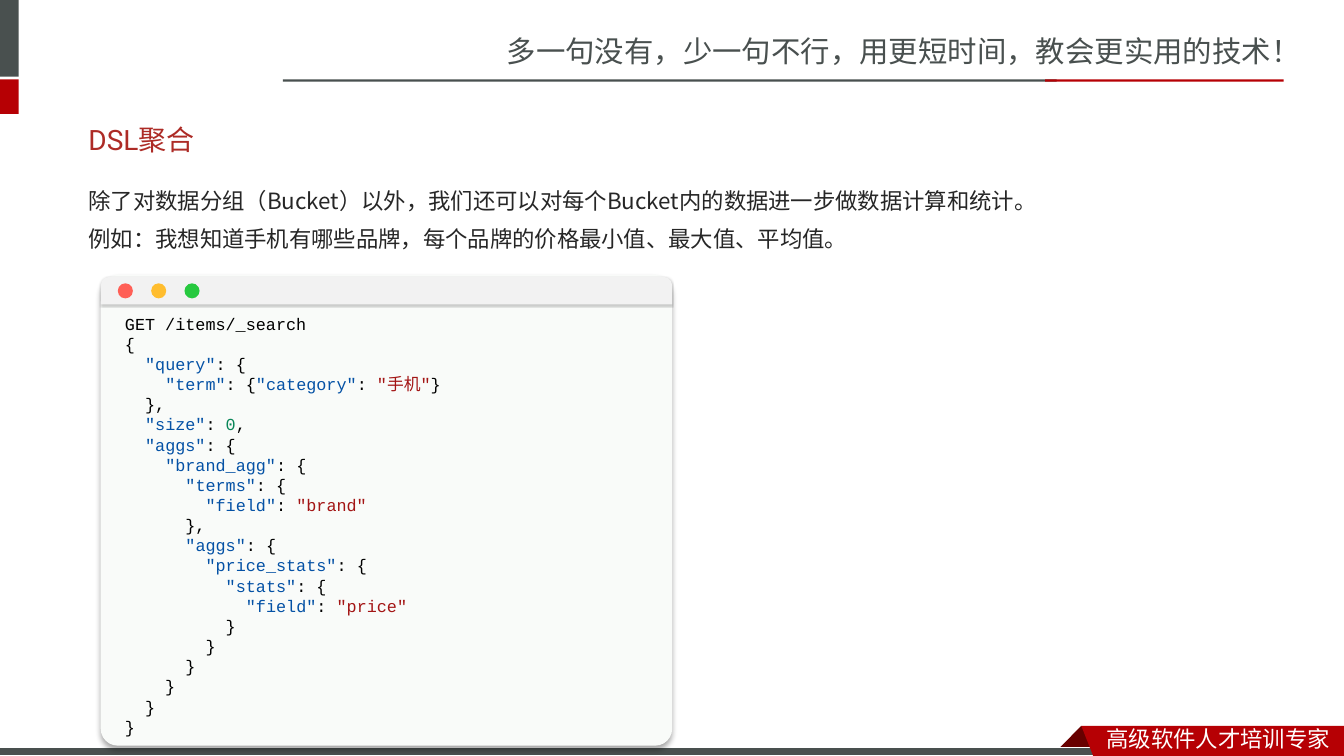
import pptx
import pptx.util
import pptx.dml.color
import pptx.enum.shapes
import pptx.enum.text
import pptx.oxml
import pptx.oxml.ns

Cm, Pt = pptx.util.Cm, pptx.util.Pt
SHAPE = pptx.enum.shapes.MSO_SHAPE
ANCHOR = pptx.enum.text.MSO_ANCHOR

SLATE, RED, DARK_RED, WHITE = "49504F", "B60004", "680000", "FFFFFF"
TITLE_RED, INK = "AD2B26", "262626"
CODE, KEY, STRING, NUMBER = "000000", "0451A5", "A31515", "098658"
CJK = "Noto Sans CJK SC"

SEARCH_REQUEST = """GET /items/_search
{
  "query": {
    "term": {"category": "手机"}
  },
  "size": 0,
  "aggs": {
    "brand_agg": {
      "terms": {
        "field": "brand"
      },
      "aggs": {
        "price_stats": {
          "stats": {
            "field": "price"
          }
        }
      }
    }
  }
}"""


def color(hex_code):
    return pptx.dml.color.RGBColor.from_string(hex_code)


def highlight(line):
    """Split a JSON line into (text, colour) runs."""
    pieces = line.split('"')
    runs = []
    for i, piece in enumerate(pieces):
        if i % 2:
            is_key = pieces[i + 1].startswith(":")
            runs.append((f'"{piece}"', KEY if is_key else STRING))
        elif "0" in piece:
            before, after = piece.split("0")
            runs += [(before, CODE), ("0", NUMBER), (after, CODE)]
        elif piece:
            runs.append((piece, CODE))
    return runs


class SlideBuilder:
    """Draws on one slide; all lengths are in centimetres."""

    def __init__(self, slide):
        self.shapes = slide.shapes

    def paint(self, shape, fill, line=None):
        shape.shadow.inherit = False
        shape.fill.solid()
        shape.fill.fore_color.rgb = color(fill)
        if line:
            shape.line.color.rgb = color(line)
            shape.line.width = Pt(0.75)
        else:
            shape.line.fill.background()
        return shape

    def shape(self, kind, left, top, width, height, fill, line=None, corner=None):
        shape = self.shapes.add_shape(kind, Cm(left), Cm(top), Cm(width), Cm(height))
        if corner is not None:
            shape.adjustments[0] = corner
        return self.paint(shape, fill, line)

    def polygon(self, points, fill):
        corners = [(Cm(x), Cm(y)) for x, y in points]
        outline = self.shapes.build_freeform(*corners[0])
        outline.add_line_segments(corners[1:], close=True)
        return self.paint(outline.convert_to_shape(), fill)

    def drop_shadow(self, shape, blur, distance, opacity):
        effects = shape._element.spPr.find(pptx.oxml.ns.qn("a:effectLst"))
        effects.append(pptx.oxml.parse_xml(
            f'<a:outerShdw {pptx.oxml.ns.nsdecls("a")} blurRad="{Pt(blur)}" '
            f'dist="{Pt(distance)}" dir="5400000" algn="t" rotWithShape="0">'
            f'<a:srgbClr val="000000"><a:alpha val="{opacity * 1000}"/></a:srgbClr>'
            '</a:outerShdw>'))

    def text(self, left, top, width, height, paragraphs, size, font=CJK, east_asian=CJK,
             anchor=ANCHOR.TOP, side_inset=0.25, spacing=None, before=0, wrap=True):
        """Each paragraph is a list of (text, colour) runs."""
        frame = self.shapes.add_textbox(Cm(left), Cm(top), Cm(width), Cm(height)).text_frame
        frame.word_wrap = wrap
        frame.vertical_anchor = anchor
        frame.margin_left = frame.margin_right = Cm(side_inset)
        for i, runs in enumerate(paragraphs):
            paragraph = frame.add_paragraph() if i else frame.paragraphs[0]
            paragraph.space_before = Pt(before)
            if spacing:
                paragraph.line_spacing = spacing
            for words, hex_code in runs:
                run = paragraph.add_run()
                run.text = words
                run.font.size = Pt(size)
                run.font.name = font
                run.font.color.rgb = color(hex_code)
                ea = run._r.get_or_add_rPr().makeelement(
                    pptx.oxml.ns.qn("a:ea"), {"typeface": east_asian})
                run.font._element.find(pptx.oxml.ns.qn("a:latin")).addnext(ea)


def draw_frame(page):
    page.text(12.52, 0.71, 21.35, 1.19,
              [[("多一句没有，少一句不行，用更短时间，教会更实用的技术！", SLATE)]], 21, wrap=False)
    page.shape(SHAPE.RECTANGLE, 0, 0, 0.47, 1.93, SLATE)
    page.shape(SHAPE.RECTANGLE, 0, 2, 0.47, 0.87, RED)
    page.shape(SHAPE.RECTANGLE, 7.13, 2, 19.5, 0.06, SLATE)
    page.shape(SHAPE.RECTANGLE, 26.34, 2, 6.01, 0.06, RED)
    page.polygon([(27.25, 18.29), (27.81, 18.85), (27.79, 18.87),
                  (26.72, 18.87), (26.7, 18.85)], DARK_RED)
    page.shape(SHAPE.RECTANGLE, 0, 18.83, 27.91, 0.22, SLATE, line=WHITE)
    page.polygon([(27.25, 18.29), (33.87, 18.29), (33.87, 19.05), (27.55, 19.05)], RED)
    page.text(27.64, 18.16, 6.22, 0.89, [[("高级软件人才培训专家", WHITE)]], 16, wrap=False)


def draw_code_window(page):
    left, width = 2.54, 14.4
    window = page.shape(SHAPE.ROUNDED_RECTANGLE, left, 6.93, width, 11.86, "F9FBF9", corner=0.036)
    page.drop_shadow(window, blur=4, distance=3, opacity=34)
    page.text(left, 7.77, 10.69, 11.02,
              [highlight(line) for line in SEARCH_REQUEST.splitlines()], 12,
              font="Courier New", side_inset=0.61, wrap=False)
    bar = page.shape(SHAPE.ROUND_2_SAME_RECTANGLE, left, 6.98, width, 0.69, "F2F2F2", corner=0.3)
    page.drop_shadow(bar, blur=1, distance=1, opacity=20)
    for i, button in enumerate(["FF5F56", "FFBD2E", "27C93F"]):
        page.shape(SHAPE.OVAL, 2.97 + i * 0.84, 7.14, 0.38, 0.38, button)


def main():
    deck = pptx.Presentation()
    deck.slide_width, deck.slide_height = Cm(33.87), Cm(19.05)
    page = SlideBuilder(deck.slides.add_slide(deck.slide_layouts[6]))
    draw_frame(page)
    page.text(1.98, 2.79, 29.72, 1.45, [[("DSL聚合", TITLE_RED)]], 20,
              font="Roboto", anchor=ANCHOR.MIDDLE)
    page.text(1.98, 4.45, 29.72, 1.83, [
        [("除了对数据分组（Bucket）以外，我们还可以对每个Bucket内的数据进一步做数据计算和统计。", INK)],
        [("例如：我想知道手机有哪些品牌，每个品牌的价格最小值、最大值、平均值。", INK)],
    ], 16, font="Noto Sans CJK JP", east_asian="Noto Sans CJK JP", spacing=1.2, before=4)
    draw_code_window(page)
    deck.save("out.pptx")


if __name__ == "__main__":
    main()
